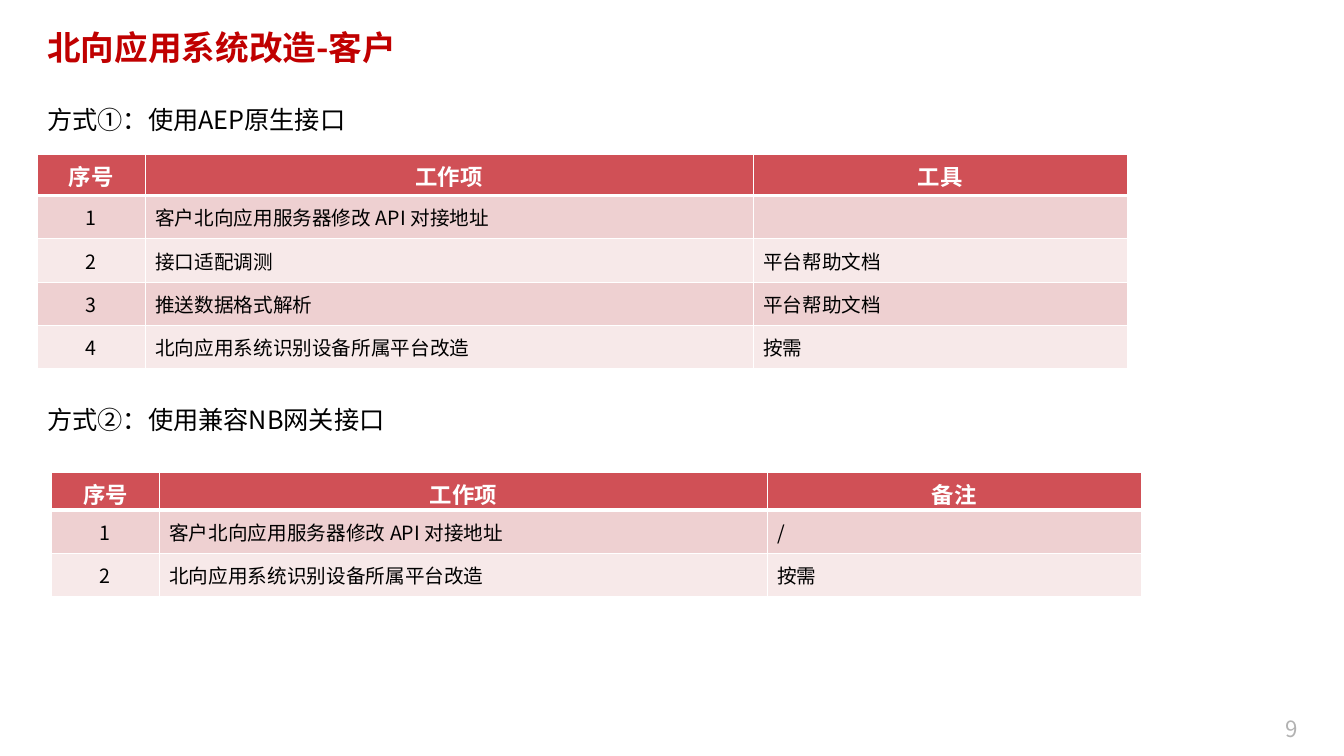
from lxml.etree import SubElement
from pptx import Presentation
from pptx.dml.color import RGBColor
from pptx.enum.text import MSO_ANCHOR, PP_ALIGN
from pptx.oxml import parse_xml
from pptx.oxml.ns import nsdecls, qn
from pptx.util import Inches, Pt

FONT = "Noto Sans CJK SC"
COLORS = {
    "title": "C00000", "text": "000000", "number": "B2B2B2", "white": "FFFFFF",
    "header": "D05056", "odd": "EED0D1", "even": "F7E9E9",
}
TITLE = "北向应用系统改造-客户"
PAGE = "9"
METHODS = [
    {
        "heading": "方式①：使用AEP原生接口", "heading_top": 0.99,
        "left": 0.37, "top": 1.53, "header_height": 0.41, "header_bottom": 0.05,
        "rows": [
            ("序号", "工作项", "工具"),
            ("1", "客户北向应用服务器修改 API 对接地址", ""),
            ("2", "接口适配调测", "平台帮助文档"),
            ("3", "推送数据格式解析", "平台帮助文档"),
            ("4", "北向应用系统识别设备所属平台改造", "按需"),
        ],
    },
    {
        "heading": "方式②：使用兼容NB网关接口", "heading_top": 3.96,
        "left": 0.51, "top": 4.69, "header_height": 0.37, "header_bottom": 0,
        "rows": [
            ("序号", "工作项", "备注"),
            ("1", "客户北向应用服务器修改 API 对接地址", "/"),
            ("2", "北向应用系统识别设备所属平台改造", "按需"),
        ],
    },
]
MARGIN = 0.37
COLUMNS = (1.07, 6.03, 3.71)
ROW_HEIGHT = 0.43


def write(frame, text, size, color, bold=False, align=PP_ALIGN.LEFT):
    frame.text = text
    paragraph = frame.paragraphs[0]
    paragraph.alignment = align
    font = paragraph.font
    font.size, font.bold, font.name = Pt(size), bold, FONT
    font.color.rgb = RGBColor.from_string(COLORS[color])
    properties = paragraph._p.pPr.find(qn("a:defRPr"))
    SubElement(properties, qn("a:ea")).set("typeface", FONT)
    return paragraph


def add_label(slide, box, text, size, color):
    frame = slide.shapes.add_textbox(*map(Inches, box)).text_frame
    frame.word_wrap = True
    write(frame, text, size, color)


def set_borders(cell, top, bottom):
    widths = {"lnL": 1, "lnR": 1, "lnT": top, "lnB": bottom}
    for place, (side, width) in enumerate(widths.items()):
        cell._tc.get_or_add_tcPr().insert(place, parse_xml(
            f'<a:{side} {nsdecls("a")} w="{Pt(width)}"><a:solidFill>'
            f'<a:srgbClr val="{COLORS["white"]}"/></a:solidFill></a:{side}>'))


def add_method(slide, method):
    add_label(slide, (MARGIN, method["heading_top"], 6.67, 0.4),
              method["heading"], 18, "text")
    rows = method["rows"]
    heights = [method["header_height"]] + [ROW_HEIGHT] * (len(rows) - 1)
    box = (method["left"], method["top"], sum(COLUMNS), sum(heights))
    table = slide.shapes.add_table(
        len(rows), len(COLUMNS), *map(Inches, box)).table
    for column, width in zip(table.columns, COLUMNS):
        column.width = Inches(width)
    for r, (row, height) in enumerate(zip(rows, heights)):
        table.rows[r].height = Inches(height)
        header = r == 0
        fill = "header" if header else ("even", "odd")[r % 2]
        for c, text in enumerate(row):
            cell = table.cell(r, c)
            cell.vertical_anchor = MSO_ANCHOR.MIDDLE
            if header:
                cell.margin_bottom = Inches(method["header_bottom"])
            set_borders(cell, 3 if r == 1 else 1, 3 if header else 1)
            cell.fill.solid()
            cell.fill.fore_color.rgb = RGBColor.from_string(COLORS[fill])
            align = PP_ALIGN.CENTER if header or c == 0 else PP_ALIGN.LEFT
            write(cell.text_frame, text, 16 if header else 14,
                  "white" if header else "text", header, align)


def main():
    deck = Presentation()
    deck.slide_width, deck.slide_height = Inches(13.33), Inches(7.5)
    slide = deck.slides.add_slide(deck.slide_layouts[5])
    title = slide.shapes.title
    title.left, title.top = Inches(MARGIN), Inches(0.13)
    title.width, title.height = Inches(11.28), Inches(0.72)
    title.text_frame.vertical_anchor = MSO_ANCHOR.MIDDLE
    write(title.text_frame, TITLE, 24, "title", True).line_spacing = 0.9
    for method in METHODS:
        add_method(slide, method)
    add_label(slide, (12.65, 7.05, 0.46, 0.37), PAGE, 16, "number")
    deck.save("out.pptx")


if __name__ == "__main__":
    main()
